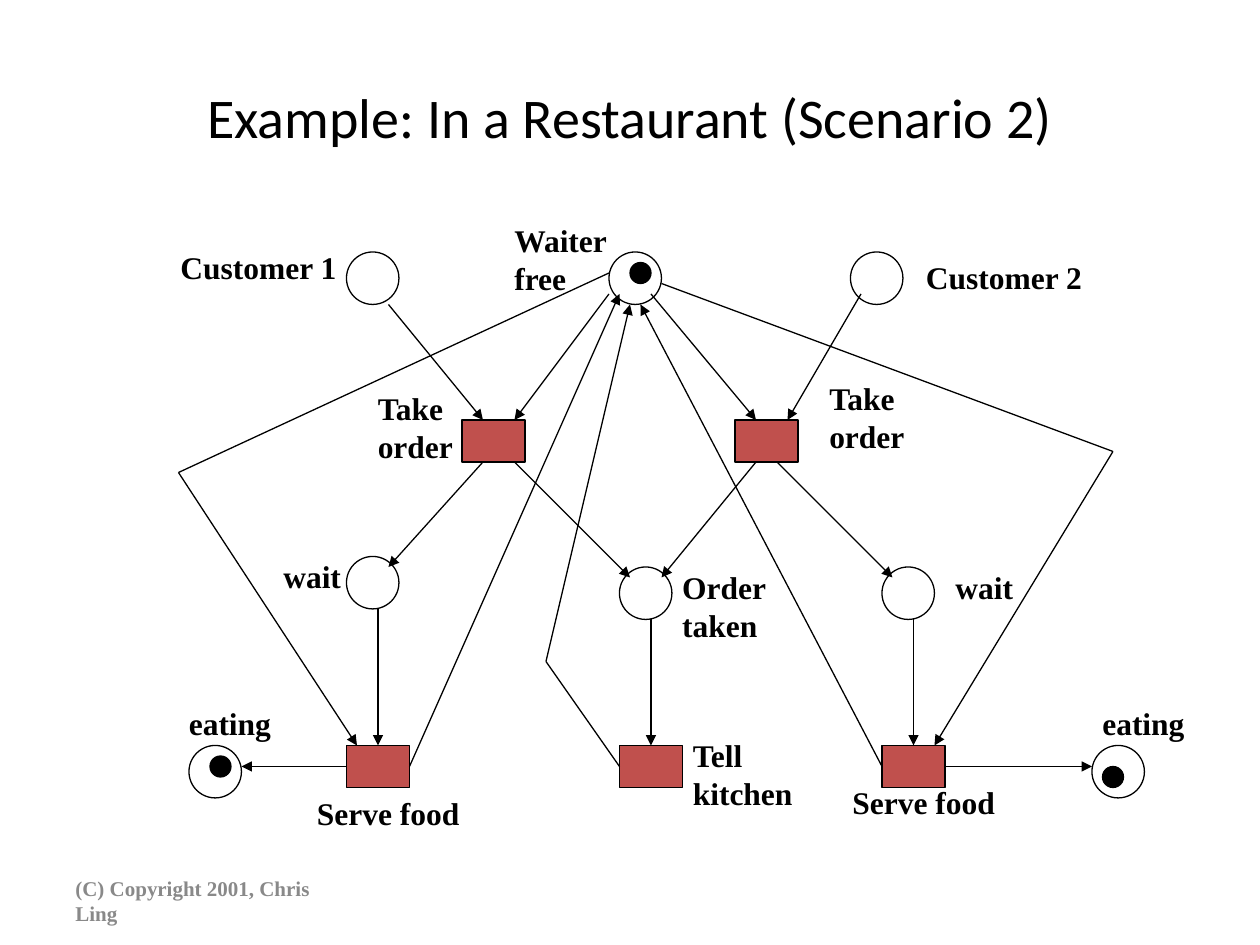
from pptx import Presentation
from pptx import util as u
from pptx.dml import color
from pptx.enum import shapes, text
from pptx.oxml import ns
from lxml import etree

theme = {
    "ink": color.RGBColor.from_string("000000"),
    "muted": color.RGBColor.from_string("898989"),
    "transition": color.RGBColor.from_string("C0504D"),
    "stroke": u.Pt(0.75),
    "title": {"name": "Calibri", "size": u.Pt(32), "bold": False},
    "label": {"name": "Times New Roman", "size": u.Pt(18), "bold": True},
    "footer": {"name": "Times New Roman", "size": u.Pt(12), "bold": True},
}

deck = Presentation()
deck.slide_width, deck.slide_height = u.Inches(10), u.Inches(7.5)
column, row = deck.slide_width / 120, deck.slide_height / 90
page = deck.slides.add_slide(deck.slide_layouts[5])


def area(left, top, width, height):
    return [round(n * step) for n, step in zip((left, top, width, height), (column, row) * 2)]


def write(box, lines, style, ink, frame_format):
    frame = box.text_frame
    for name, value in frame_format.items():
        setattr(frame, name, value)
    frame.text = "\n".join(lines)
    for para in frame.paragraphs:
        for span in para.runs:
            for name, value in theme[style].items():
                setattr(span.font, name, value)
            span.font.color.rgb = theme[ink]


title = page.shapes.title
title.left, title.top, title.width, title.height = area(6, 3.6, 108, 15)
write(title, ["Example: In a Restaurant (Scenario 2)"], "title", "ink",
      {"vertical_anchor": text.MSO_ANCHOR.MIDDLE, "word_wrap": True})
title.text_frame.paragraphs[0].alignment = text.PP_ALIGN.CENTER

footer = page.shapes.add_textbox(*area(6, 83.4, 28, 4.8))
write(footer, ["(C) Copyright 2001, Chris Ling"], "footer", "muted",
      {"vertical_anchor": text.MSO_ANCHOR.MIDDLE, "word_wrap": True})

places = [(33, 24), (58, 24), (81, 24), (33, 53), (59, 54), (84, 54), (18, 71), (104, 71)]
transitions = [(44, 40), (70, 40), (33, 71), (59, 71), (84, 71)]
tokens = [(60, 25), (20, 72), (105, 73)]
nodes = [
    (places, shapes.MSO_SHAPE.OVAL, 5, 5, None),
    (transitions, shapes.MSO_SHAPE.RECTANGLE, 6, 4, "transition"),
    (tokens, shapes.MSO_SHAPE.OVAL, 2, 2, "ink"),
]
side_middles = {}
for spots, preset, width, height, fill in nodes:
    for left, top in spots:
        node = page.shapes.add_shape(preset, *area(left, top, width, height))
        node.shadow.inherit = False
        node.line.color.rgb, node.line.width = theme["ink"], theme["stroke"]
        if fill:
            node.fill.solid()
            node.fill.fore_color.rgb = theme[fill]
        else:
            node.fill.background()
        if preset == shapes.MSO_SHAPE.RECTANGLE:
            middle, centre = left + width / 2, top + height / 2
            corners = [(middle, top), (left, centre), (middle, top + height), (left + width, centre)]
            side_middles.update({point: (node, side) for side, point in enumerate(corners)})

arcs = [
    [(37, 29), (46, 40)],
    [(58, 28), (49, 40)],
    [(62, 28), (72, 40)],
    [(82, 28), (75, 40)],
    [(46, 44), (37, 54)],
    [(49, 44), (60, 55)],
    [(72, 44), (63, 55)],
    [(74, 44), (85, 55)],
    [(36, 58), (36, 71)],
    [(62, 59), (62, 71)],
    [(87, 59), (87, 71)],
    [(33, 73), (23, 73)],
    [(90, 73), (104, 73)],
    [(39, 73), (59, 28)],
    [(84, 73), (61, 29)],
    [(59, 73), (52, 63), (60, 29)],
    [(58, 26), (17, 45), (34, 71)],
    [(63, 27), (106, 43), (89, 71)],
]
for arc in arcs:
    for start, end in zip(arc, arc[1:]):
        line = page.shapes.add_connector(shapes.MSO_CONNECTOR.STRAIGHT, *area(*start, *end))
        line.line.color.rgb, line.line.width = theme["ink"], theme["stroke"]
        if start in side_middles:
            line.begin_connect(*side_middles[start])
        if end in side_middles:
            line.end_connect(*side_middles[end])
        if end == arc[-1]:
            etree.SubElement(line.line._get_or_add_ln(), ns.qn("a:tailEnd"), type="triangle")
        etree.SubElement(line._element.spPr, ns.qn("a:effectLst"))

labels = [
    (47.8, 20.5, 11.6, ["Waiter", "free"]),
    (16, 23, 17.4, ["Customer 1"]),
    (87, 24, 17.4, ["Customer 2"]),
    (34.8, 36.5, 9.8, ["Take", "order"]),
    (77.8, 35.5, 9.8, ["Take", "order"]),
    (63.8, 53.5, 10.6, ["Order", "taken"]),
    (64.8, 69.5, 12.1, ["Tell", "kitchen"]),
    (25.8, 52.5, 8.1, ["wait"]),
    (89.8, 53.5, 8.1, ["wait"]),
    (29, 75, 16.1, ["Serve food"]),
    (80, 74, 16.1, ["Serve food"]),
    (16.8, 66.5, 10.4, ["eating"]),
    (103.8, 66.5, 10.4, ["eating"]),
]
for left, top, width, lines in labels:
    box = page.shapes.add_textbox(*area(left, top, width, 1.2 + 3.6 * len(lines)))
    write(box, lines, "label", "ink",
          {"word_wrap": False, "auto_size": text.MSO_AUTO_SIZE.SHAPE_TO_FIT_TEXT})

deck.save("out.pptx")
